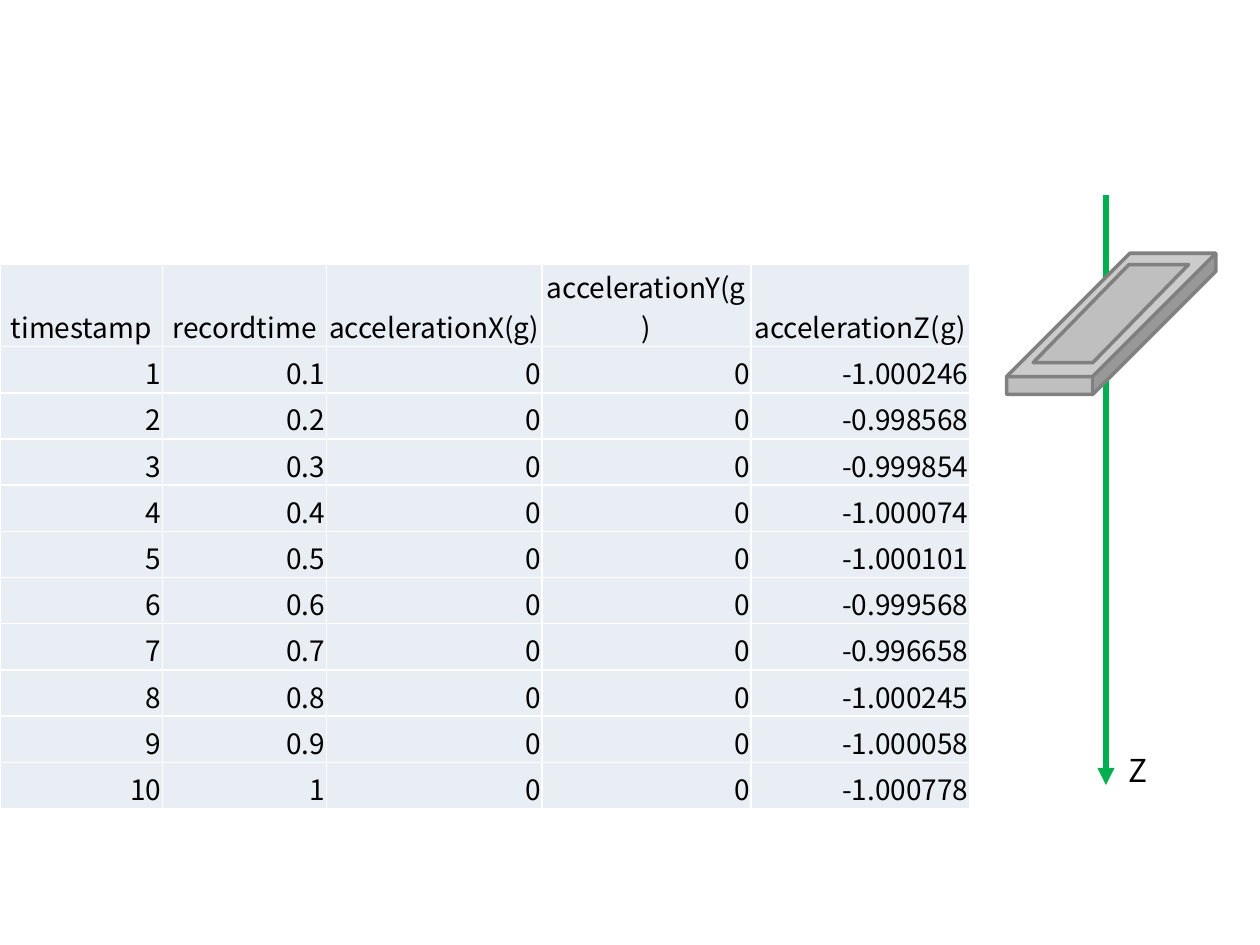
from pptx import Presentation
from pptx.dml.color import RGBColor
from pptx.enum import shapes, text
from pptx.oxml import parse_xml
from pptx.oxml.ns import nsdecls
from pptx.util import Pt

# Content
HEADERS = ["timestamp", "recordtime", "accelerationX(g)",
           "accelerationY(g)", "accelerationZ(g)"]
Z_VALUES = ["-1.000246", "-0.998568", "-0.999854", "-1.000074", "-1.000101",
            "-0.999568", "-0.996658", "-1.000245", "-1.000058", "-1.000778"]
RECORDS = [[str(step), f"{step / 10:g}", "0", "0", z]
           for step, z in enumerate(Z_VALUES, start=1)]

# Format
FONT = "Noto Sans CJK KR"
BLACK = RGBColor(0x00, 0x00, 0x00)
CELL_FILL = RGBColor(0xE9, 0xED, 0xF4)
GREEN = RGBColor(0x00, 0xB0, 0x50)
DEVICE_FILL = RGBColor(0xBF, 0xBF, 0xBF)
DEVICE_LINE = RGBColor(0x80, 0x80, 0x80)
COLUMN_WIDTHS = [93, 93.6, 123.2, 119.4, 124.8]
HEADER_HEIGHT, ROW_HEIGHT = 36, 26.4
TABLE_LEFT, TABLE_TOP = 0, 151.2
CELL_FORMAT = {"margin_left": Pt(0.75), "margin_right": Pt(0.75),
               "margin_top": Pt(0.75), "margin_bottom": Pt(0),
               "vertical_anchor": text.MSO_ANCHOR.BOTTOM}
# Device parts: preset, left, top, width, height, adjustment
DEVICE = [
    (shapes.MSO_SHAPE.CUBE, 575.2, 144.7, 119.6, 80.7, 0.873),
    (shapes.MSO_SHAPE.PARALLELOGRAM, 590.4, 151.2, 88.8, 56, 0.977),
]
AXIS_X, AXIS_TOP, AXIS_BOTTOM = 632, 111.6, 448.6


def write(para, words, size, align):
    para.alignment = align
    span = para.add_run()
    span.text = words
    for name, value in {"name": FONT, "size": Pt(size)}.items():
        setattr(span.font, name, value)
    span.font.color.rgb = BLACK


def add_borders(cell):
    properties = cell._tc.get_or_add_tcPr()
    for index, side in enumerate(("lnL", "lnR", "lnT", "lnB")):
        properties.insert(index, parse_xml(
            f'<a:{side} {nsdecls("a")} w="12700"><a:solidFill>'
            f'<a:srgbClr val="FFFFFF"/></a:solidFill></a:{side}>'))


def add_records(page):
    rows = [HEADERS] + RECORDS
    frame = page.shapes.add_table(
        len(rows), len(HEADERS), Pt(TABLE_LEFT), Pt(TABLE_TOP),
        Pt(sum(COLUMN_WIDTHS)), Pt(HEADER_HEIGHT + ROW_HEIGHT * len(RECORDS)))
    table = frame.table
    table.first_row = table.horz_banding = False
    for column, width in zip(table.columns, COLUMN_WIDTHS):
        column.width = Pt(width)
    for number, values in enumerate(rows):
        table.rows[number].height = Pt(ROW_HEIGHT if number else HEADER_HEIGHT)
        align = text.PP_ALIGN.RIGHT if number else text.PP_ALIGN.CENTER
        for cell, words in zip(table.rows[number].cells, values):
            for name, value in CELL_FORMAT.items():
                setattr(cell, name, value)
            cell.fill.solid()
            cell.fill.fore_color.rgb = CELL_FILL
            add_borders(cell)
            write(cell.text_frame.paragraphs[0], words, 16, align)


def add_axis(page):
    axis = page.shapes.add_connector(
        shapes.MSO_CONNECTOR.STRAIGHT,
        Pt(AXIS_X), Pt(AXIS_TOP), Pt(AXIS_X), Pt(AXIS_BOTTOM))
    axis.line.color.rgb = GREEN
    axis.line.width = Pt(3.25)
    axis.line._get_or_add_ln().append(
        parse_xml(f'<a:tailEnd {nsdecls("a")} type="triangle"/>'))
    axis._element.spPr.append(parse_xml(f'<a:effectLst {nsdecls("a")}/>'))


def add_device(page):
    group = page.shapes.add_group_shape()
    for preset, left, top, width, height, adjustment in DEVICE:
        part = group.shapes.add_shape(
            preset, Pt(left), Pt(top), Pt(width), Pt(height))
        part.adjustments[0] = adjustment
        part.shadow.inherit = False
        part.fill.solid()
        part.fill.fore_color.rgb = DEVICE_FILL
        part.line.color.rgb = DEVICE_LINE
        part.line.width = Pt(2)


def add_axis_label(page):
    box = page.shapes.add_textbox(Pt(637.9), Pt(425.5), Pt(24.5), Pt(29))
    box.text_frame.word_wrap = False
    box.text_frame.auto_size = text.MSO_AUTO_SIZE.SHAPE_TO_FIT_TEXT
    write(box.text_frame.paragraphs[0], "Z", 18, text.PP_ALIGN.LEFT)


def main():
    deck = Presentation()
    deck.slide_width, deck.slide_height = Pt(720), Pt(540)
    page = deck.slides.add_slide(deck.slide_layouts[6])
    add_records(page)
    add_axis(page)
    add_device(page)
    add_axis_label(page)
    deck.save("out.pptx")


if __name__ == "__main__":
    main()
